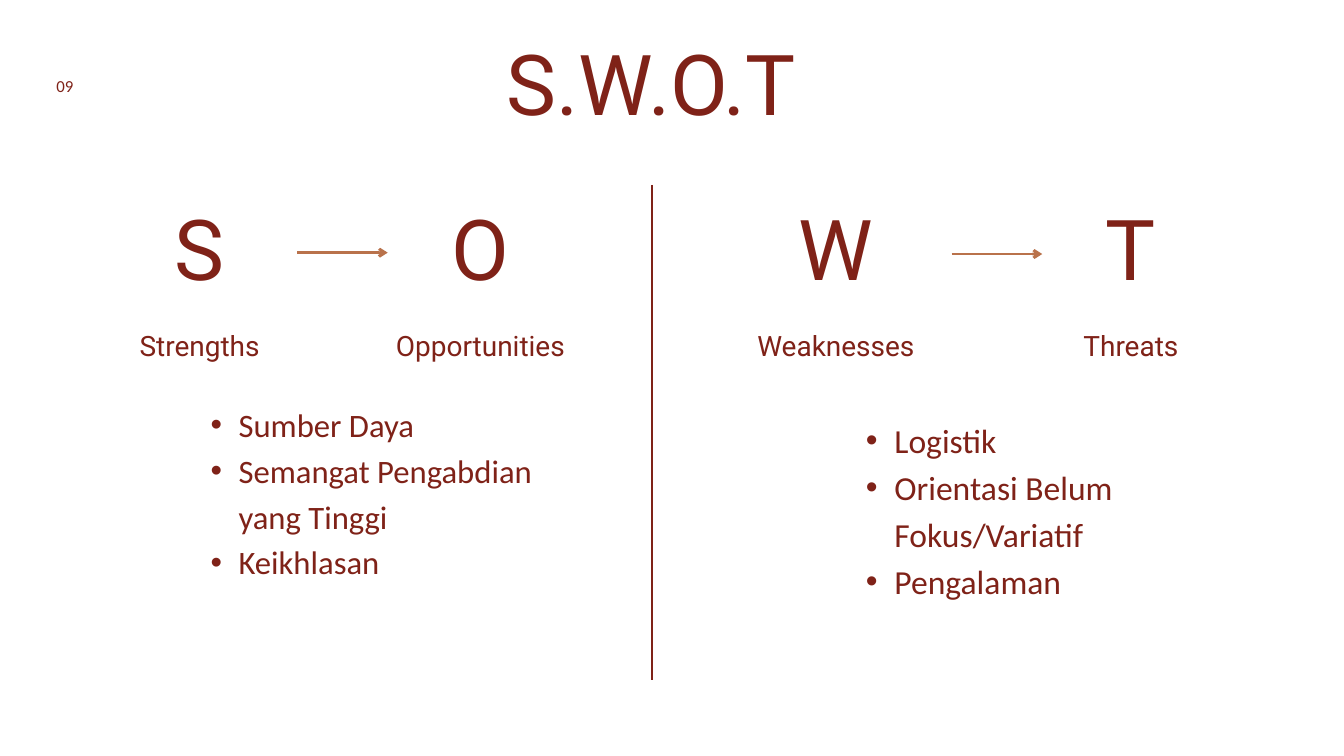
import lxml.etree
import pptx
import pptx.dml.color
import pptx.enum.shapes
import pptx.enum.text
import pptx.oxml.ns
import pptx.util
from pptx.util import Inches

MAROON = "7F2218"
COPPER = "B9724B"


def color(value):
    return pptx.dml.color.RGBColor.from_string(value)


def add_element(parent, tag, **attributes):
    return lxml.etree.SubElement(parent, pptx.oxml.ns.qn(tag), attributes)


class SwotSlide:
    """Holds the slide being built and the style of its elements."""

    heading_font = "Roboto"
    body_font = "Calibri"

    def __init__(self, deck):
        self.slide = deck.slides.add_slide(deck.slide_layouts[3])

    def place(self, box, left, top, width, height):
        box.left, box.top = Inches(left), Inches(top)
        box.width, box.height = Inches(width), Inches(height)
        frame = box.text_frame
        frame.margin_left = frame.margin_right = 0
        frame.margin_top = frame.margin_bottom = 0
        frame.word_wrap = True
        frame.auto_size = pptx.enum.text.MSO_AUTO_SIZE.SHAPE_TO_FIT_TEXT
        frame.vertical_anchor = pptx.enum.text.MSO_ANCHOR.TOP
        return frame

    def add_text(self, para, text, size, font, spacing):
        para.line_spacing = pptx.util.Pt(spacing)
        para.space_before = pptx.util.Pt(0)
        span = para.add_run()
        span.text = text
        span.font.size = pptx.util.Pt(size)
        span.font.name = font
        span.font.color.rgb = color(MAROON)

    def centered(self, box, area, text, size, font, spacing):
        para = self.place(box, *area).paragraphs[0]
        para.alignment = pptx.enum.text.PP_ALIGN.CENTER
        self.add_text(para, text, size, font, spacing)

    def title(self, text, *area):
        self.centered(self.slide.shapes.title, area, text, 90, self.heading_font, 108)

    def label(self, text, area, size, font, spacing):
        box = self.slide.shapes.add_textbox(0, 0, 0, 0)
        self.centered(box, area, text, size, font, spacing)

    def quadrant(self, word, left):
        self.label(word[0], (left, 2.93, 3.7, 1.51), 90, self.heading_font, 108)
        self.label(word, (left, 4.85, 3.7, 0.53), 30, self.heading_font, 39)

    def bullets(self, index, items, area, size, indent):
        frame = self.place(self.slide.placeholders[index], *area)
        for number, item in enumerate(items):
            para = frame.add_paragraph() if number else frame.paragraphs[0]
            para.level = 1
            properties = para._p.get_or_add_pPr()
            properties.set("marL", str(Inches(indent)))
            properties.set("indent", str(-Inches(indent / 2)))
            add_element(properties, "a:buFont", typeface="Arial")
            add_element(properties, "a:buChar", char="•")
            self.add_text(para, item, size, self.body_font, size * 1.4)

    def line(self, start, end, line_color, width, arrow=False):
        line = self.slide.shapes.add_connector(
            pptx.enum.shapes.MSO_CONNECTOR.STRAIGHT,
            *map(Inches, start + end),
        )
        line.line.color.rgb = color(line_color)
        line.line.width = pptx.util.Pt(width)
        if arrow:
            add_element(line.line._get_or_add_ln(), "a:tailEnd", type="arrow")
        add_element(line._element.spPr, "a:effectLst")


def main():
    deck = pptx.Presentation()
    deck.slide_width, deck.slide_height = Inches(20), Inches(11.25)
    swot = SwotSlide(deck)

    swot.title("S.W.O.T", 3.96, 0.47, 11.47, 1.51)
    swot.label("09", (0.81, 1.1, 0.31, 0.32), 18, swot.body_font, 23.4)

    for word, left in (
        ("Strengths", 1.12),
        ("Opportunities", 5.3),
        ("Weaknesses", 10.59),
        ("Threats", 14.98),
    ):
        swot.quadrant(word, left)

    swot.bullets(
        1,
        ["Sumber Daya", "Semangat Pengabdian yang Tinggi", "Keikhlasan"],
        (2.72, 5.93, 5.55, 3.34), 35, 0.83,
    )
    swot.bullets(
        2,
        ["Logistik", "Orientasi Belum Fokus/Variatif", "Pengalaman"],
        (12.46, 6.15, 5.03, 3.45), 36, 0.85,
    )

    swot.line((9.7, 2.75), (9.7, 10.12), MAROON, 2.25)
    for left, top in ((4.42, 3.76), (14.16, 3.78)):
        swot.line((left, top), (left + 1.35, top), COPPER, 3, arrow=True)

    deck.save("out.pptx")


if __name__ == "__main__":
    main()
